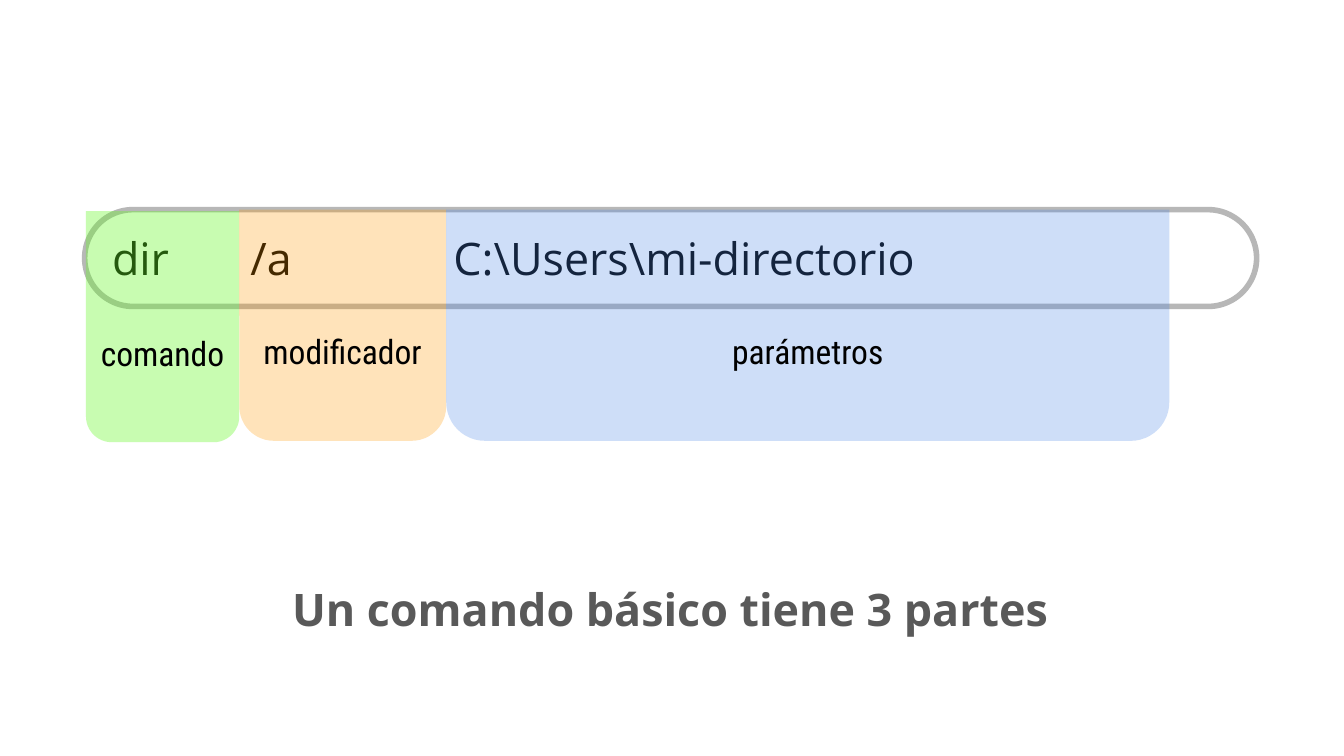
from lxml.etree import SubElement
from pptx import Presentation
from pptx.dml.color import RGBColor
from pptx.enum.shapes import MSO_SHAPE
from pptx.enum.text import MSO_ANCHOR, MSO_AUTO_SIZE, PP_ALIGN
from pptx.oxml.ns import qn
from pptx.util import Inches, Pt

COLORS = {
    "white": "FFFFFF",
    "black": "000000",
    "title": "595959",
    "border": "B7B7B7",
    "command": "67F929",
    "modifier": "FF9900",
    "parameters": "4A86E8",
}

# label, colour, opacity in percent, width, top, label top
PARTS = [
    ("comando", "command", 36, 1.14, 1.57, 2.38),
    ("modificador", "modifier", 27, 1.54, 1.56, 2.36),
    ("parámetros", "parameters", 27, 5.38, 1.56, 2.36),
]
PARTS_LEFT = 0.64
PART_HEIGHT = 1.72


def rgb(name):
    return RGBColor.from_string(COLORS[name])


def box(left, top, width, height):
    return [Inches(v) for v in (left, top, width, height)]


def write(shape, text, font, size, color, align, anchor=MSO_ANCHOR.TOP, bold=False):
    """Fill the shape's text frame with one formatted paragraph and return it."""
    tf = shape.text_frame
    tf.word_wrap = True
    tf.auto_size = MSO_AUTO_SIZE.NONE
    tf.vertical_anchor = anchor
    for side in ("left", "top", "right", "bottom"):
        setattr(tf, f"margin_{side}", Inches(0.1))
    p = tf.paragraphs[0]
    p.alignment = align
    r = p.add_run()
    r.text = text
    for name, value in {"name": font, "size": Pt(size), "bold": bold}.items():
        setattr(r.font, name, value)
    r.font.color.rgb = rgb(color)
    return p


def set_tab_stops(p, stops):
    tabs = SubElement(p._p.get_or_add_pPr(), qn("a:tabLst"))
    for stop in stops:
        SubElement(tabs, qn("a:tab"), pos=str(Inches(stop)), algn="l")


def add_filled_shape(s, kind, bounds, adjustments, color):
    sp = s.shapes.add_shape(kind, *box(*bounds))
    sp.shadow.inherit = False
    for i, value in enumerate(adjustments):
        sp.adjustments[i] = value
    sp.fill.solid()
    sp.fill.fore_color.rgb = rgb(color)
    return sp


def add_command_line(s):
    sp = add_filled_shape(s, MSO_SHAPE.ROUNDED_RECTANGLE,
                          (0.63, 1.56, 8.72, 0.72), [0.5], "white")
    sp.line.color.rgb = rgb("border")
    sp.line.width = Pt(3)
    p = write(sp, "dir\t/a\tC:\\Users\\mi-directorio", "Open Sans", 24, "black",
              PP_ALIGN.LEFT, MSO_ANCHOR.MIDDLE)
    set_tab_stops(p, [1.03, 2.54])


def add_part(s, left, label, color, opacity, width, top, label_top):
    """Add a translucent band, rounded at the bottom, and its label."""
    sp = add_filled_shape(s, MSO_SHAPE.ROUND_2_SAME_RECTANGLE,
                          (left, top, width, PART_HEIGHT), [0.167, 0], color)
    sp.rotation = 180
    sp.line.fill.background()
    srgb = sp.fill._xPr.find(f".//{qn('a:srgbClr')}")
    SubElement(srgb, qn("a:alpha"), val=str(opacity * 1000))
    tb = s.shapes.add_textbox(*box(left, label_top, width, 0.5))
    write(tb, label, "Roboto Condensed", 18, "black", PP_ALIGN.CENTER)


def format_title(s):
    title = s.shapes.title
    title.left, title.top, title.width, title.height = box(0.34, 4.17, 9.29, 0.84)
    p = write(title, "Un comando básico tiene 3 partes", "Open Sans", 24, "title",
              PP_ALIGN.CENTER, bold=True)
    p.line_spacing = 1.15
    p.space_before = Pt(0)
    p.space_after = Pt(12)


def main():
    prs = Presentation()
    prs.slide_width = Inches(10)
    prs.slide_height = prs.slide_width * 9 // 16
    s = prs.slides.add_slide(prs.slide_layouts[5])
    format_title(s)
    add_command_line(s)
    left = PARTS_LEFT
    for label, color, opacity, width, top, label_top in PARTS:
        add_part(s, left, label, color, opacity, width, top, label_top)
        left += width
    prs.save("out.pptx")


if __name__ == "__main__":
    main()
